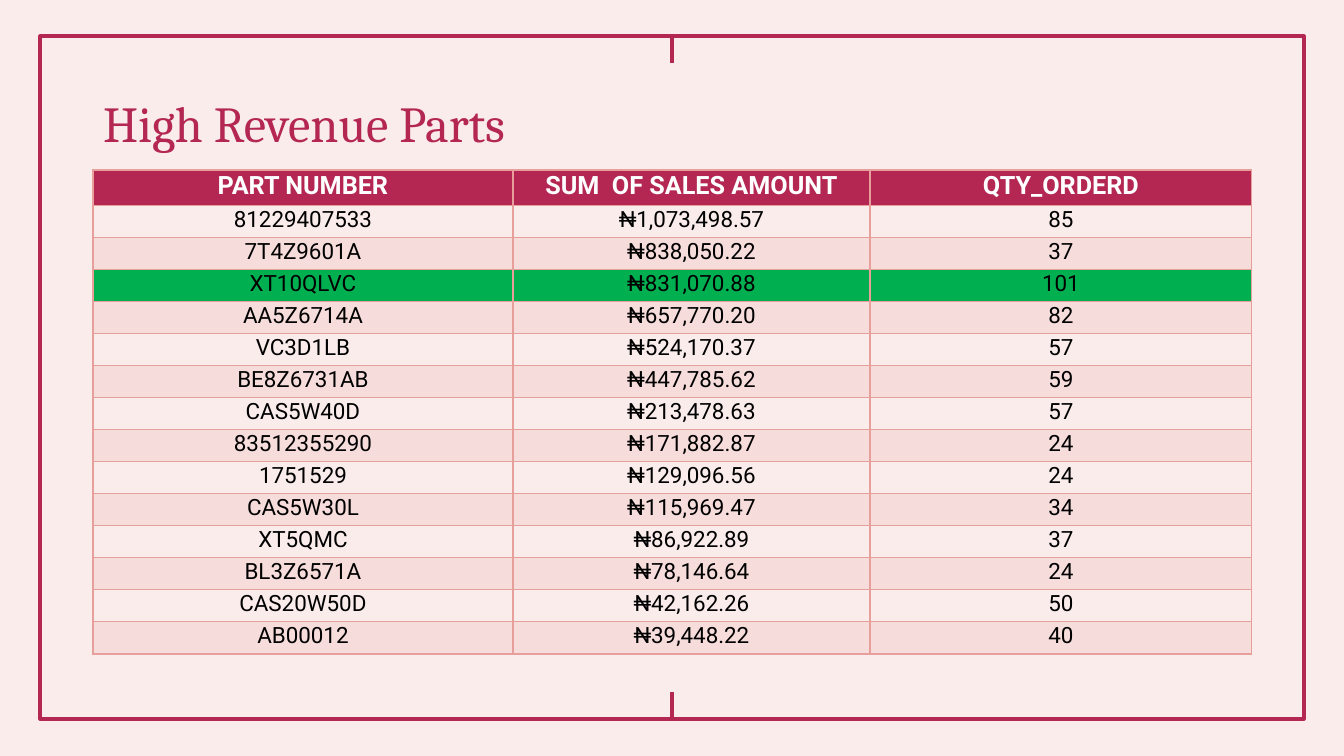
from lxml import etree
from pptx import Presentation
from pptx import util as u
from pptx.dml import color
from pptx.enum import shapes, text
from pptx.oxml import ns

SCALE = 914400 / 100.8
CRIMSON, ROSE, BLUSH, GREEN = "B32752", "E69F9A", "FAECEB", "00B050"
HEADINGS = ("PART NUMBER", "SUM  OF SALES AMOUNT", "QTY_ORDERD")
PARTS = (
    ("81229407533", "₦1,073,498.57", "85"),
    ("7T4Z9601A", "₦838,050.22", "37"),
    ("XT10QLVC", "₦831,070.88", "101"),
    ("AA5Z6714A", "₦657,770.20", "82"),
    ("VC3D1LB", "₦524,170.37", "57"),
    ("BE8Z6731AB", "₦447,785.62", "59"),
    ("CAS5W40D", "₦213,478.63", "57"),
    ("83512355290", "₦171,882.87", "24"),
    ("1751529", "₦129,096.56", "24"),
    ("CAS5W30L", "₦115,969.47", "34"),
    ("XT5QMC", "₦86,922.89", "37"),
    ("BL3Z6571A", "₦78,146.64", "24"),
    ("CAS20W50D", "₦42,162.26", "50"),
    ("AB00012", "₦39,448.22", "40"),
)
HIGHLIGHTED = "XT10QLVC"


def px(length):
    return u.Emu(round(length * SCALE))


def rgb(value):
    return color.RGBColor.from_string(value)


def apply(target, values):
    for name, value in values.items():
        setattr(target, name, value)


class RevenueSlide:
    """Hold the deck's style and its current slide."""

    heading = {"size": u.Pt(18), "name": "Roboto", "bold": True}
    body = {"size": u.Pt(16), "name": "Roboto", "bold": False}
    cell_box = {
        "margin_left": px(1), "margin_right": px(1),
        "margin_top": px(1), "margin_bottom": px(5),
        "vertical_anchor": text.MSO_ANCHOR.BOTTOM,
    }

    def __init__(self):
        self.deck = Presentation()
        apply(self.deck, {"slide_width": px(1344), "slide_height": px(756)})
        self.slide = self.deck.slides.add_slide(self.deck.slide_layouts[5])
        self.slide.background.fill.solid()
        self.slide.background.fill.fore_color.rgb = rgb(BLUSH)

    def stroke(self, line):
        line.color.rgb = rgb(CRIMSON)
        line.width = u.Pt(2.25)

    def frame(self, left, top, width, height):
        border = self.slide.shapes.add_shape(
            shapes.MSO_SHAPE.RECTANGLE, *map(px, (left, top, width, height)))
        border.shadow.inherit = False
        border.fill.background()
        self.stroke(border.line)

    def tick(self, x, top, bottom):
        mark = self.slide.shapes.add_connector(
            shapes.MSO_CONNECTOR.STRAIGHT, *map(px, (x, top, x, bottom)))
        etree.SubElement(mark._element.spPr, ns.qn("a:effectLst"))
        self.stroke(mark.line)

    def title(self, wording, left, top, width, height):
        heading = self.slide.shapes.title
        apply(heading, {"left": px(left), "top": px(top),
                        "width": px(width), "height": px(height)})
        heading.text_frame.text = wording
        apply(heading.text_frame, {"vertical_anchor": text.MSO_ANCHOR.TOP,
                                   "auto_size": text.MSO_AUTO_SIZE.NONE,
                                   "word_wrap": True})
        paragraph = heading.text_frame.paragraphs[0]
        apply(paragraph, {"alignment": text.PP_ALIGN.LEFT, "line_spacing": 0.9})
        font = paragraph.runs[0].font
        apply(font, {"size": u.Pt(36), "name": "Cambria"})
        font.color.rgb = rgb(CRIMSON)

    def outline(self, cell):
        properties = cell._tc.get_or_add_tcPr()
        for position, side in enumerate(("lnL", "lnR", "lnT", "lnB")):
            edge = etree.Element(ns.qn("a:" + side), w=str(u.Pt(1)))
            fill = etree.SubElement(edge, ns.qn("a:solidFill"))
            etree.SubElement(fill, ns.qn("a:srgbClr"), val=ROSE)
            properties.insert(position, edge)

    def cell(self, cell, wording, style, ink, fill, opacity):
        apply(cell, self.cell_box)
        cell.text = wording
        paragraph = cell.text_frame.paragraphs[0]
        paragraph.alignment = text.PP_ALIGN.CENTER
        font = paragraph.runs[0].font
        apply(font, style)
        font.color.rgb = rgb(ink)
        if fill:
            cell.fill.solid()
            cell.fill.fore_color.rgb = rgb(fill)
            if opacity < 100:
                tint = cell._tc.tcPr.find(".//" + ns.qn("a:srgbClr"))
                etree.SubElement(tint, ns.qn("a:alpha"), val=str(opacity * 1000))
        else:
            cell.fill.background()
        self.outline(cell)

    def table(self, left, top, widths, row_height, headings, records):
        rows = (headings, *records)
        grid = self.slide.shapes.add_table(
            len(rows), len(widths), px(left), px(top),
            px(sum(widths)), px(row_height * len(rows))).table
        grid.horz_banding = False
        for column, width in zip(grid.columns, widths):
            column.width = px(width)
        for index, record in enumerate(rows):
            grid.rows[index].height = px(row_height)
            style, ink, fill, opacity = self.body, "000000", None, 100
            if index == 0:
                style, ink, fill = self.heading, "FFFFFF", CRIMSON
            elif record[0] == HIGHLIGHTED:
                fill = GREEN
            elif index % 2 == 0:
                fill, opacity = ROSE, 20
            for column, wording in enumerate(record):
                self.cell(grid.cell(index, column), wording, style, ink, fill, opacity)


def main():
    page = RevenueSlide()
    page.frame(40, 36, 1264, 683)
    page.tick(672, 692, 719)
    page.tick(672, 36, 63)
    page.title("High Revenue Parts", 93, 94, 1159, 152)
    page.table(93, 170, (420, 357, 382), 28, HEADINGS, PARTS)
    page.deck.save("out.pptx")


if __name__ == "__main__":
    main()
